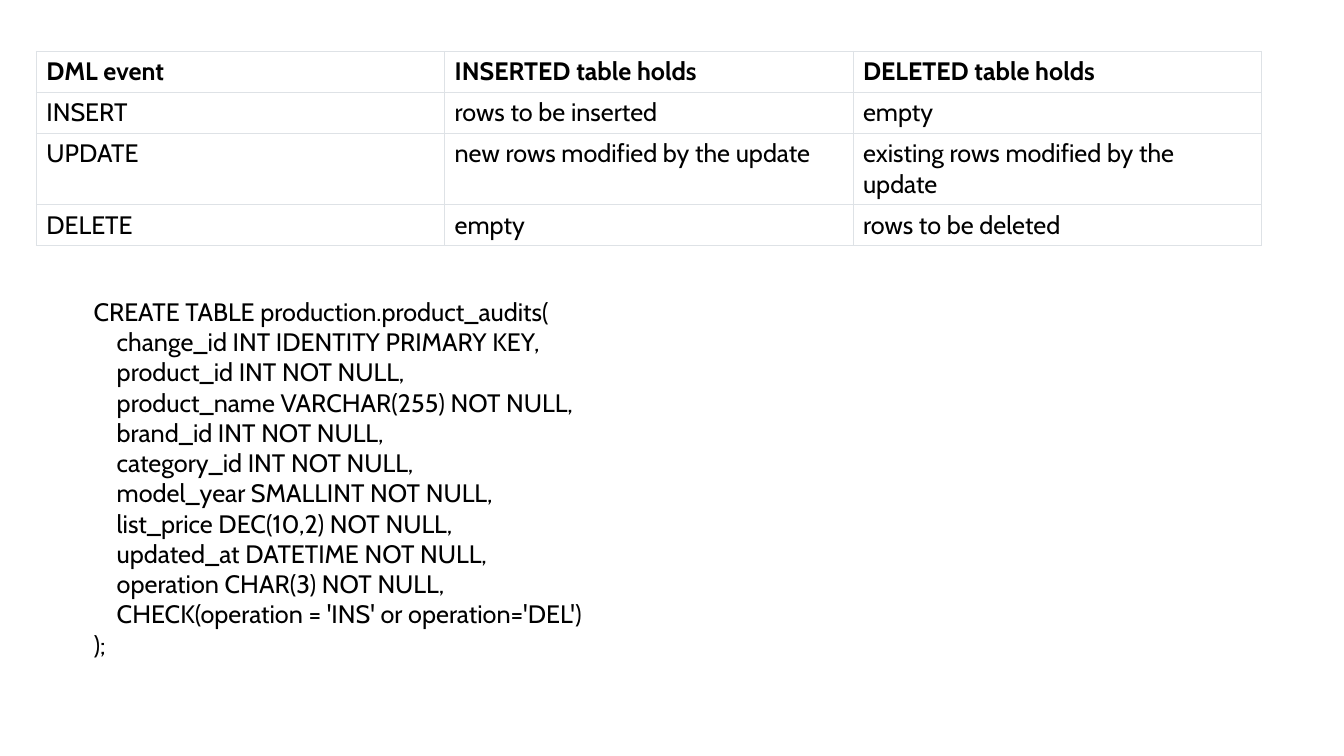
from lxml import etree
from pptx import Presentation
from pptx.dml.color import RGBColor
from pptx.enum import text
from pptx.oxml import ns
from pptx.util import Inches, Pt

FONT = "Cabin"
BLACK = RGBColor(0x00, 0x00, 0x00)
WHITE = RGBColor(0xFF, 0xFF, 0xFF)
BORDER_GREY = RGBColor(0xDE, 0xE2, 0xE6)

EVENT_ROWS = [
    ("DML event", "INSERTED table holds", "DELETED table holds"),
    ("INSERT", "rows to be inserted", "empty"),
    ("UPDATE", "new rows modified by the update",
     "existing rows modified by the update"),
    ("DELETE", "empty", "rows to be deleted"),
]
ROW_HEIGHTS = [0.4, 0.4, 0.7, 0.4]
COLUMN_WIDTH = 4.05

AUDIT_COLUMNS = [
    "change_id INT IDENTITY PRIMARY KEY,",
    "product_id INT NOT NULL,",
    "product_name VARCHAR(255) NOT NULL,",
    "brand_id INT NOT NULL,",
    "category_id INT NOT NULL,",
    "model_year SMALLINT NOT NULL,",
    "list_price DEC(10,2) NOT NULL,",
    "updated_at DATETIME NOT NULL,",
    "operation CHAR(3) NOT NULL,",
    "CHECK(operation = 'INS' or operation='DEL')",
]
CODE_INDENT = Inches(0.23)


def add_span(para, wording, bold=False):
    span = para.add_run()
    span.text = wording
    span.font.name = FONT
    span.font.size = Pt(18)
    span.font.bold = bold
    span.font.color.rgb = BLACK


def add_borders(cell):
    properties = cell._tc.get_or_add_tcPr()
    for side in ("a:lnL", "a:lnR", "a:lnT", "a:lnB"):
        line = etree.SubElement(properties, ns.qn(side), w=str(Pt(0.75)))
        fill = etree.SubElement(line, ns.qn("a:solidFill"))
        etree.SubElement(fill, ns.qn("a:srgbClr"), val=str(BORDER_GREY))


deck = Presentation()
deck.slide_width = Inches(13.33)
deck.slide_height = Inches(7.5)
page = deck.slides.add_slide(deck.slide_layouts[6])

# Table of trigger events
event_table = page.shapes.add_table(
    len(EVENT_ROWS), 3, Inches(0.36), Inches(0.51),
    Inches(3 * COLUMN_WIDTH), Inches(sum(ROW_HEIGHTS))).table
event_table.horz_banding = False
for column in event_table.columns:
    column.width = Inches(COLUMN_WIDTH)
for row_index, wordings in enumerate(EVENT_ROWS):
    event_table.rows[row_index].height = Inches(ROW_HEIGHTS[row_index])
    for column_index, wording in enumerate(wordings):
        cell = event_table.cell(row_index, column_index)
        add_borders(cell)
        cell.fill.solid()
        cell.fill.fore_color.rgb = WHITE
        add_span(cell.text_frame.paragraphs[0], wording, bold=row_index == 0)

# SQL statement
box = page.shapes.add_textbox(
    Inches(0.83), Inches(2.89), Inches(6.67), Inches(3.74))
frame = box.text_frame
frame.word_wrap = True
frame.auto_size = text.MSO_AUTO_SIZE.SHAPE_TO_FIT_TEXT
add_span(frame.paragraphs[0], "CREATE TABLE production.product_audits(")
for definition in AUDIT_COLUMNS:
    para = frame.add_paragraph()
    para._p.get_or_add_pPr().set("marL", str(CODE_INDENT))
    add_span(para, definition)
add_span(frame.add_paragraph(), ");")

deck.save("out.pptx")
